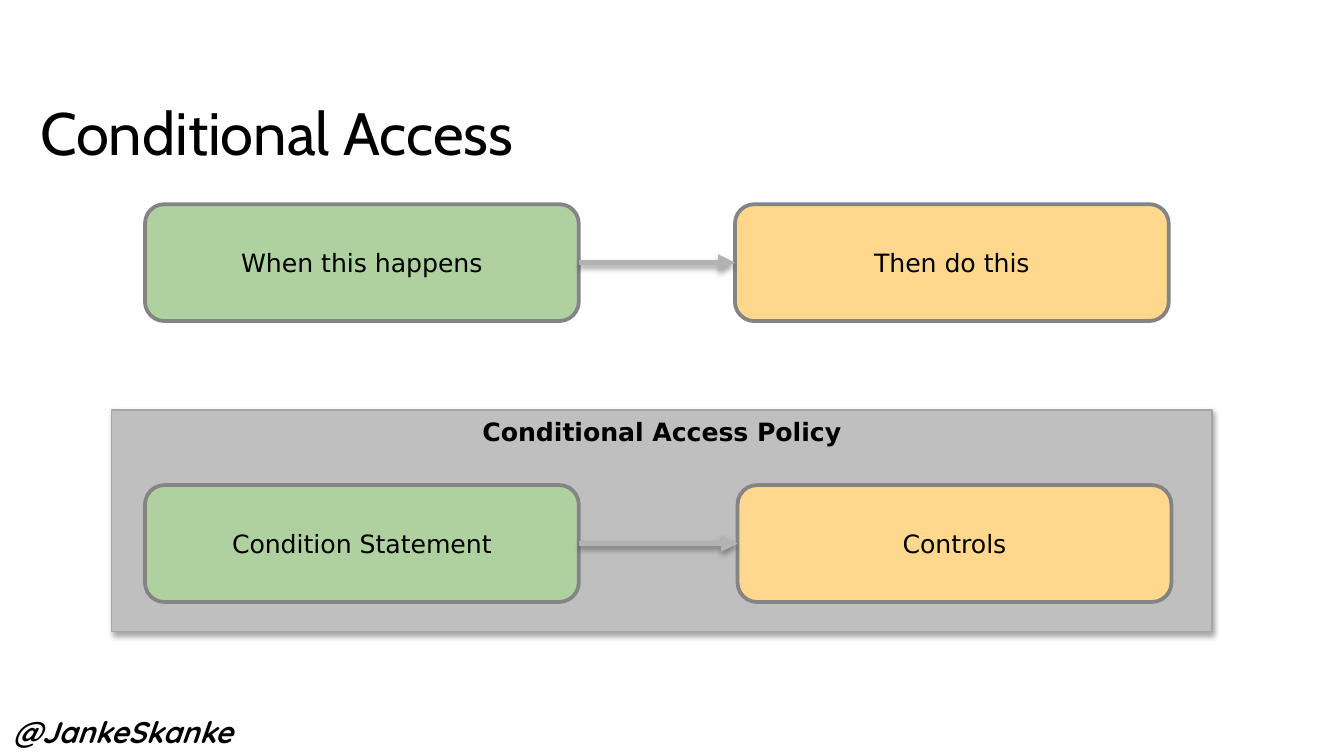
import pptx
import pptx.dml.color
import pptx.enum.shapes
import pptx.enum.text
import pptx.oxml
import pptx.oxml.ns
import pptx.util

Cm = pptx.util.Cm
Pt = pptx.util.Pt
RGBColor = pptx.dml.color.RGBColor
Shape = pptx.enum.shapes.MSO_SHAPE
Anchor = pptx.enum.text.MSO_ANCHOR
Align = pptx.enum.text.PP_ALIGN
Size = pptx.enum.text.MSO_AUTO_SIZE

BLACK = RGBColor(0x00, 0x00, 0x00)
GREEN = RGBColor(0xAF, 0xD1, 0xA0)
AMBER = RGBColor(0xFF, 0xD7, 0x8D)
EDGE = RGBColor(0x84, 0x84, 0x84)
PANEL = RGBColor(0xBF, 0xBF, 0xBF)
RIM = RGBColor(0xA6, 0xA6, 0xA6)
ARROW = RGBColor(0xB2, 0xB2, 0xB2)

LABEL = {"name": "DejaVu Sans", "size": Pt(13.5)}
HEADING = {**LABEL, "bold": True}
TITLE = {"name": "Cabin", "size": Pt(32)}
HANDLE = {"name": "Quicksand", "size": Pt(16), "bold": True, "italic": True}

BOX_LEFT, BOX_WIDTH, BOX_HEIGHT = 2.74, 8.2, 2.21
ROWS = [
    (3.86, 13.89, "When this happens", "Then do this"),
    (9.17, 13.94, "Condition Statement", "Controls"),
]


def add_xml(parent, tag, inner=""):
    space = pptx.oxml.ns.nsdecls("a")
    parent.append(pptx.oxml.parse_xml(f"<a:{tag} {space}>{inner}</a:{tag.split()[0]}>"))


def add_shadow(shape):
    add_xml(
        shape._element.spPr,
        "effectLst",
        '<a:outerShdw blurRad="39400" dist="22900" dir="5400000" rotWithShape="0">'
        '<a:srgbClr val="000000"><a:alpha val="35000"/></a:srgbClr></a:outerShdw>',
    )


def write(frame, text, style):
    para = frame.paragraphs[0]
    run = para.add_run()
    run.text = text
    for key, value in style.items():
        setattr(run.font, key, value)
    run.font.color.rgb = BLACK
    return para


def add_text(slide, place, text, style, wrap=True):
    box = slide.shapes.add_textbox(*map(Cm, place))
    frame = box.text_frame
    frame.word_wrap = wrap
    frame.auto_size = Size.NONE if wrap else Size.SHAPE_TO_FIT_TEXT
    write(frame, text, style)


def add_block(slide, kind, place, fill, edge, width, text, style, anchor):
    block = slide.shapes.add_shape(kind, *map(Cm, place))
    block.fill.solid()
    block.fill.fore_color.rgb = fill
    block.line.color.rgb = edge
    block.line.width = Pt(width)
    block.text_frame.vertical_anchor = anchor
    write(block.text_frame, text, style).alignment = Align.CENTER
    return block


def add_box(slide, left, top, fill, text):
    place = (left, top, BOX_WIDTH, BOX_HEIGHT)
    box = add_block(slide, Shape.ROUNDED_RECTANGLE, place, fill, EDGE, 2,
                    text, LABEL, Anchor.MIDDLE)
    box.shadow.inherit = False
    return box


def add_arrow(slide, start, end):
    kind = pptx.enum.shapes.MSO_CONNECTOR.STRAIGHT
    arrow = slide.shapes.add_connector(kind, 0, 0, 0, 0)
    arrow.begin_connect(start, 3)
    arrow.end_connect(end, 1)
    arrow.line.color.rgb = ARROW
    arrow.line.width = Pt(3)
    add_xml(arrow.line._get_or_add_ln(), 'tailEnd type="triangle"')
    add_shadow(arrow)


def main():
    deck = pptx.Presentation()
    deck.slide_width, deck.slide_height = Cm(25.4), Cm(14.29)
    slide = deck.slides.add_slide(deck.slide_layouts[6])

    panel = add_block(slide, Shape.RECTANGLE, (2.11, 7.75, 20.8, 4.19), PANEL, RIM, 0.75,
                      "Conditional Access Policy", HEADING, Anchor.TOP)
    add_shadow(panel)
    add_text(slide, (0.51, 1.68, 22.81, 2.39), "Conditional Access", TITLE)

    for top, right, cause, effect in ROWS:
        start = add_box(slide, BOX_LEFT, top, GREEN, cause)
        end = add_box(slide, right, top, AMBER, effect)
        add_arrow(slide, start, end)

    add_text(slide, (0, 13.36, 4.67, 0.94), "@JankeSkanke", HANDLE, wrap=False)
    deck.save("out.pptx")


if __name__ == "__main__":
    main()
